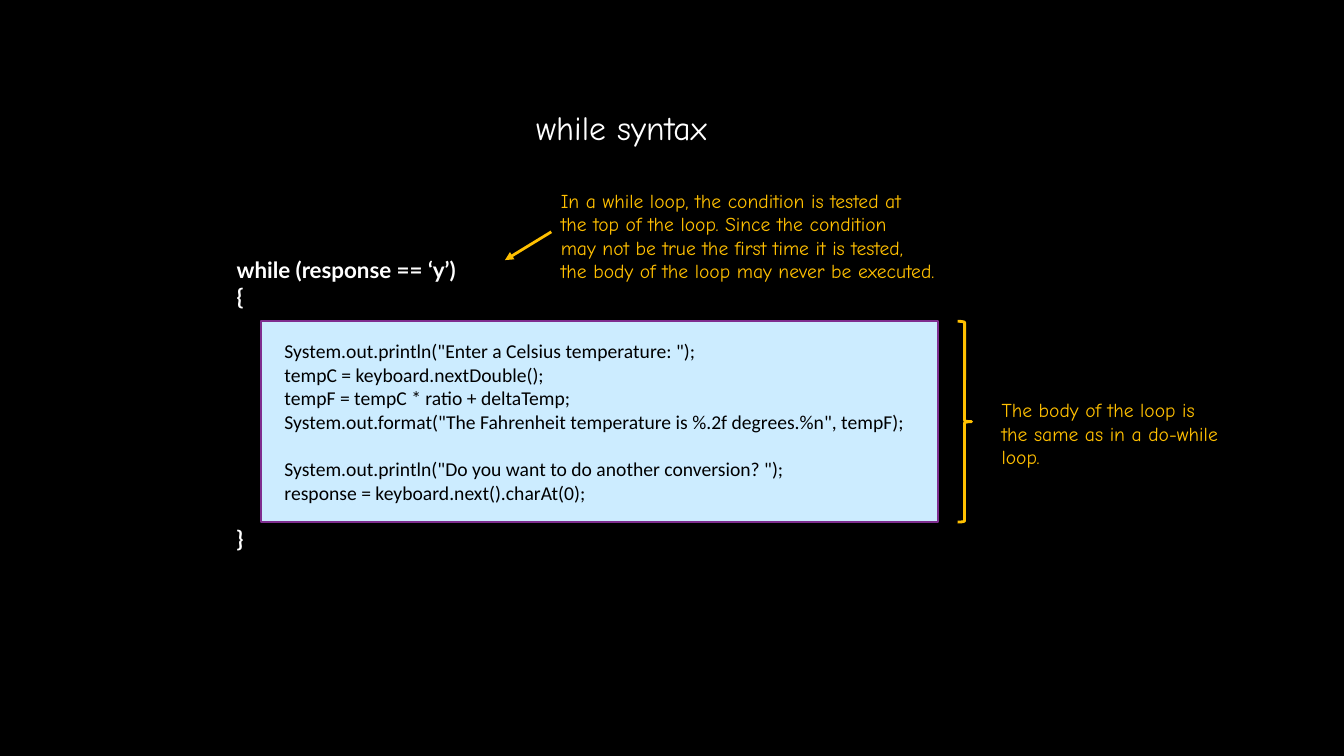
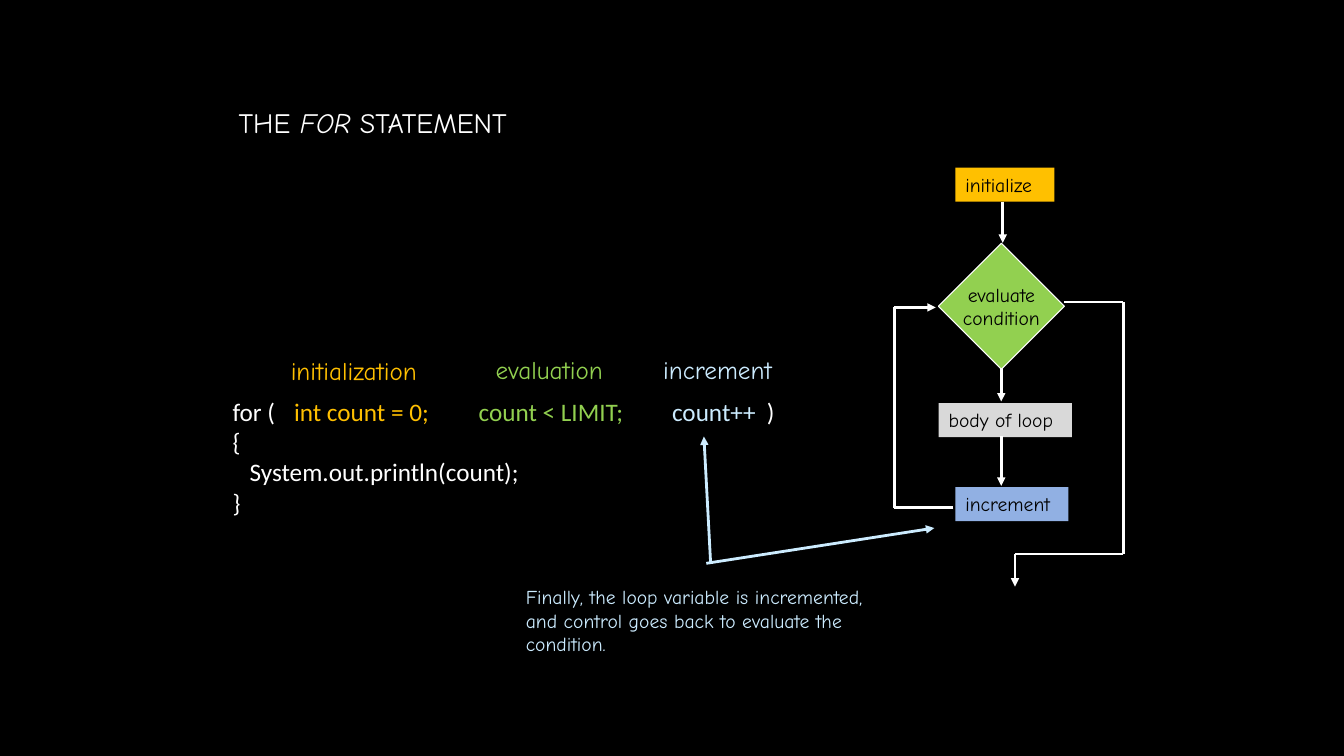
from pptx import Presentation
from pptx.dml.color import RGBColor
from pptx.enum.shapes import MSO_CONNECTOR as LINK, MSO_SHAPE as SHAPE
from pptx.enum.text import MSO_ANCHOR as ANCHOR, PP_ALIGN as ALIGN
from pptx.oxml.ns import qn
from pptx.util import Pt
from lxml.etree import SubElement

BLACK = RGBColor(0x00, 0x00, 0x00)
WHITE = RGBColor(0xFF, 0xFF, 0xFF)
AMBER = RGBColor(0xFF, 0xC0, 0x00)
GREEN = RGBColor(0x92, 0xD0, 0x50)
ICE = RGBColor(0xCC, 0xEC, 0xFF)
PURPLE = RGBColor(0x7F, 0x2E, 0x8F)
GREY = RGBColor(0xD9, 0xD9, 0xD9)
BLUE = RGBColor(0x91, 0xB0, 0xE3)

HAND, CODE, BRACES = "Comic Neue", "Calibri", "Lato"
TITLE = {"name": HAND, "size": Pt(24), "color": WHITE}
NOTE = {"name": HAND, "size": Pt(14), "color": AMBER}
LABEL = {"name": HAND, "size": Pt(18)}
STATEMENT = {"name": CODE, "size": Pt(18), "color": WHITE}
NODE = {"name": HAND, "size": Pt(14), "color": BLACK}


def write(page, place, lines, style, kind=None, fill=None, line=None, align=ALIGN.LEFT,
          anchor=ANCHOR.TOP, wrap=True):
    """Add a text box, or a shape of the given kind; _word_ is set in italics."""
    place = [Pt(value) for value in place]
    if kind is None:
        box = page.shapes.add_textbox(*place)
    else:
        box = page.shapes.add_shape(kind, *place)
        box.shadow.inherit = False
        if fill is None:
            box.fill.background()
        else:
            box.fill.solid()
            box.fill.fore_color.rgb = fill
        if line is None:
            box.line.fill.background()
        else:
            box.line.color.rgb, box.line.width = line[0], Pt(line[1])
    frame = box.text_frame
    frame.word_wrap, frame.vertical_anchor = wrap, anchor
    for number, text in enumerate(lines):
        para = frame.paragraphs[0] if number == 0 else frame.add_paragraph()
        para.alignment = align
        for part, words in enumerate(text.split("_")):
            span = para.add_run()
            span.text = words
            span.font.italic = part % 2 == 1
            for name, value in style.items():
                if name == "color":
                    span.font.color.rgb = value
                else:
                    setattr(span.font, name, value)
    return box


def connect(page, points, color, arrow=True):
    """Join the points by straight lines, with an arrowhead at the last one."""
    for start, end in zip(points, points[1:]):
        link = page.shapes.add_connector(LINK.STRAIGHT, *[Pt(value) for value in start + end])
        link.line.color.rgb, link.line.width = color, Pt(2)
        if arrow and end == points[-1]:
            SubElement(link.line._get_or_add_ln(), qn("a:tailEnd"), type="triangle")
        SubElement(link._element.spPr, qn("a:effectLst"))


deck = Presentation()
deck.slide_width, deck.slide_height = Pt(960), Pt(540)
pages = [deck.slides.add_slide(deck.slide_layouts[6]) for _ in range(2)]
for page in pages:
    page.background.fill.solid()
    page.background.fill.fore_color.rgb = BLACK
while_page, for_page = pages

# While loop: title and the outer code, with room for the body before the closing brace
write(while_page, (375.8, 72.7, 154, 36), ["while syntax"], TITLE)
outer = write(while_page, (162, 179.3, 291, 220), ["while (response == ‘y’)", "{", "}"],
              {"name": BRACES, "size": Pt(16), "color": WHITE, "bold": True})
outer.text_frame.paragraphs[2].space_before = Pt(153.6)

# While loop: body
body_top, body_height = 229.5, 143.5
body = write(while_page, (186.5, body_top, 483.5, body_height), [
    'System.out.println("Enter a Celsius temperature: ");',
    "tempC = keyboard.nextDouble();",
    "tempF = tempC * ratio + deltaTemp;",
    'System.out.format("The Fahrenheit temperature is %.2f degrees.%n", tempF);',
    'System.out.println("Do you want to do another conversion? ");',
    "response = keyboard.next().charAt(0);",
], {"name": CODE, "size": Pt(14), "color": BLACK}, SHAPE.RECTANGLE, ICE, (PURPLE, 1.5),
    anchor=ANCHOR.MIDDLE)
body.text_frame.margin_left = Pt(16.7)
body.text_frame.paragraphs[4].space_before = Pt(17)

# While loop: remarks
write(while_page, (684, body_top, 10, body_height), [], NOTE, SHAPE.RIGHT_BRACE, line=(AMBER, 2))
write(while_page, (708.3, 280.8, 178.6, 58), [
    "The body of the loop is", "the same as in a do-while", "loop."], NOTE)
write(while_page, (393.5, 131.2, 308, 92), [
    "In a while loop, the condition is tested at",
    "the top of the loop. Since the condition",
    "may not be true the first time it is tested,",
    "the body of the loop may never be executed."], NOTE)
connect(while_page, [(393.8, 165.6), (360.7, 185.8)], AMBER)

# For statement: title and code
write(for_page, (163.4, 65.5, 266.4, 43.2), ["THE _FOR_ STATEMENT"], TITLE | {"size": Pt(20)},
      anchor=ANCHOR.MIDDLE)
code_top = 279.5
code = write(for_page, (159, code_top, 317.5, 94.3),
             ["for (", "{", "System.out.println(count);", "}"], STATEMENT)
code.text_frame.paragraphs[2]._p.get_or_add_pPr().set("marL", str(Pt(12.2)))

# For statement: parts of the header, each below its name
for name, name_left, name_top, part, part_left, color in [
    ("initialization", 200.6, 250, "int count = 0;", 203, AMBER),
    ("evaluation", 347, 249.2, "count < LIMIT;", 334.8, GREEN),
    ("increment", 466.6, 249.2, "count++", 473, ICE),
]:
    write(for_page, (name_left, name_top, 120, 29), [name], LABEL | {"color": color})
    write(for_page, (part_left, code_top, 122, 29), [part], STATEMENT | {"color": color})
write(for_page, (540.7, code_top, 25, 29), [")"], STATEMENT)

# For statement: flowchart
for text, left, top, width, color in [
    ("initialize", 682.5, 119.8, 70.6, AMBER),
    ("body of loop", 670.5, 288, 95.2, GREY),
    ("increment", 682.5, 348, 80.6, BLUE),
]:
    write(for_page, (left, top, width, 24.2), [text], NODE, SHAPE.RECTANGLE, color)
write(for_page, (670.3, 173.8, 90, 90), ["evaluate", "condition"], NODE, SHAPE.DIAMOND, GREEN,
      (WHITE, 0.75), ALIGN.CENTER, ANCHOR.MIDDLE, wrap=False)
for route in [
    [(716.3, 144), (716.3, 173.5)],
    [(715.2, 263), (715.2, 286.8)],
    [(715.2, 311.3), (715.2, 347)],
    [(681, 362.6), (638.8, 362.6), (638.8, 219.6), (668.4, 219.6)],
    [(760.3, 215.8), (802.3, 215.8), (802.3, 395.8), (725, 395.8), (725, 419)],
]:
    connect(for_page, route, WHITE)

# For statement: remark on the increment
write(for_page, (368.5, 414.5, 283.7, 58), [
    "Finally, the loop variable is incremented,",
    "and control goes back to evaluate the",
    "condition."], NOTE | {"color": ICE})
for start, end in [((507.6, 402.4), (502.8, 311.8)), ((504.5, 402.4), (667.4, 377.2))]:
    connect(for_page, [start, end], ICE)

deck.save("out.pptx")
